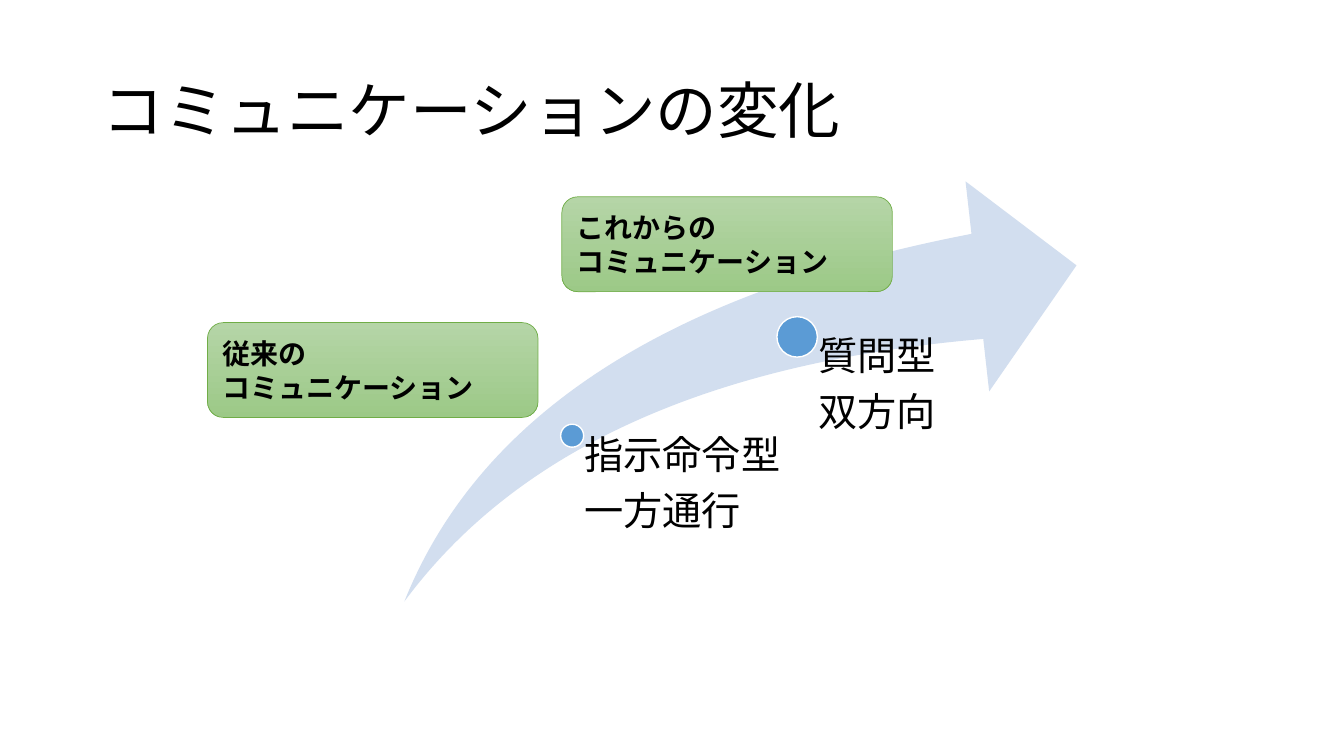
from dataclasses import dataclass

from pptx import Presentation
from pptx.dml.color import RGBColor
from pptx.enum.lang import MSO_LANGUAGE_ID
from pptx.enum.shapes import MSO_SHAPE
from pptx.enum.text import MSO_ANCHOR, MSO_AUTO_SIZE, PP_ALIGN
from pptx.util import Cm, Pt


@dataclass(frozen=True)
class Theme:
    font: str = "Calibri"
    text: RGBColor = RGBColor(0x00, 0x00, 0x00)
    arrow: RGBColor = RGBColor(0xD2, 0xDE, 0xEF)
    dot: RGBColor = RGBColor(0x5B, 0x9B, 0xD5)
    dot_line: RGBColor = RGBColor(0xFF, 0xFF, 0xFF)
    label_top: RGBColor = RGBColor(0xB5, 0xD5, 0xA7)
    label_bottom: RGBColor = RGBColor(0x9C, 0xC9, 0x87)
    label_line: RGBColor = RGBColor(0x70, 0xAD, 0x47)
    title_size: Pt = Pt(44)
    body_size: Pt = Pt(28)
    label_size: Pt = Pt(20)


theme = Theme()
base_font = {"name": theme.font, "language_id": MSO_LANGUAGE_ID.JAPANESE}


def write(tf, lines, frame, para, font):
    """Write one paragraph per line and set the given format values."""
    for name, value in frame.items():
        setattr(tf, name, value)
    for i, line in enumerate(lines):
        p = tf.paragraphs[0] if i == 0 else tf.add_paragraph()
        for name, value in para.items():
            setattr(p, name, value)
        r = p.add_run()
        r.text = line
        for name, value in (base_font | font).items():
            setattr(r.font, name, value)
        r.font.color.rgb = theme.text


def add_shape(kind, left, top, width, height):
    """Add a preset shape without a shadow; lengths in centimetres."""
    sp = s.shapes.add_shape(kind, Cm(left), Cm(top), Cm(width), Cm(height))
    sp.shadow.inherit = False
    return sp


prs = Presentation()
prs.slide_width, prs.slide_height = Cm(33.87), Cm(19.05)
s = prs.slides.add_slide(prs.slide_layouts[5])

# Title
title = s.shapes.title
title_place = {"left": Cm(2.33), "top": Cm(1.01), "width": Cm(29.21), "height": Cm(3.68)}
for name, value in title_place.items():
    setattr(title, name, value)
write(title.text_frame, ["コミュニケーションの変化"],
      {"vertical_anchor": MSO_ANCHOR.MIDDLE, "auto_size": MSO_AUTO_SIZE.NONE},
      {"alignment": PP_ALIGN.LEFT, "line_spacing": 0.9},
      {"size": theme.title_size})

# Rising arrow
arrow = add_shape(MSO_SHAPE.SWOOSH_ARROW, 10.19, 4.57, 16.94, 10.59)
arrow.adjustments[0] = arrow.adjustments[1] = 0.25
arrow.fill.solid()
arrow.fill.fore_color.rgb = theme.arrow
arrow.line.fill.background()

# Stages on the arrow: each text box starts at the centre of its dot
stages = [
    # centre x, centre y, dot diameter, text height, text inset, lines
    (14.42, 10.98, 0.58, 4.52, 0.31, ["指示命令型", "一方通行"]),
    (20.09, 8.49, 1.02, 7.01, 0.54, ["質問型", "双方向"]),
]
text_width = 5.51
for x, y, diameter, text_height, inset, lines in stages:
    radius = diameter / 2
    dot = add_shape(MSO_SHAPE.OVAL, x - radius, y - radius, diameter, diameter)
    dot.fill.solid()
    dot.fill.fore_color.rgb = theme.dot
    dot.line.color.rgb = theme.dot_line
    dot.line.width = Pt(1)
    box = s.shapes.add_textbox(Cm(x), Cm(y), Cm(text_width), Cm(text_height))
    write(box.text_frame, lines,
          {"word_wrap": True, "margin_left": Cm(inset), "margin_top": 0,
           "margin_right": 0, "margin_bottom": 0},
          {"line_spacing": 0.9, "space_after": Pt(9.8)},
          {"size": theme.body_size})

# Green labels
labels = [
    # left, top, first line
    (5.23, 8.13, "従来の"),
    (14.16, 4.96, "これからの"),
]
label_width, label_height = 8.33, 2.39
for left, top, first_line in labels:
    label = add_shape(MSO_SHAPE.ROUNDED_RECTANGLE, left, top, label_width, label_height)
    label.fill.gradient()
    label.fill.gradient_angle = 270  # counter-clockwise: runs from top to bottom
    for stop, color in zip(label.fill.gradient_stops, (theme.label_top, theme.label_bottom)):
        stop.color.rgb = color
    label.line.color.rgb = theme.label_line
    label.line.width = Pt(0.5)
    write(label.text_frame, [first_line, "コミュニケーション"],
          {"word_wrap": True, "vertical_anchor": MSO_ANCHOR.MIDDLE},
          {"alignment": PP_ALIGN.LEFT},
          {"size": theme.label_size, "bold": True})

prs.save("out.pptx")
